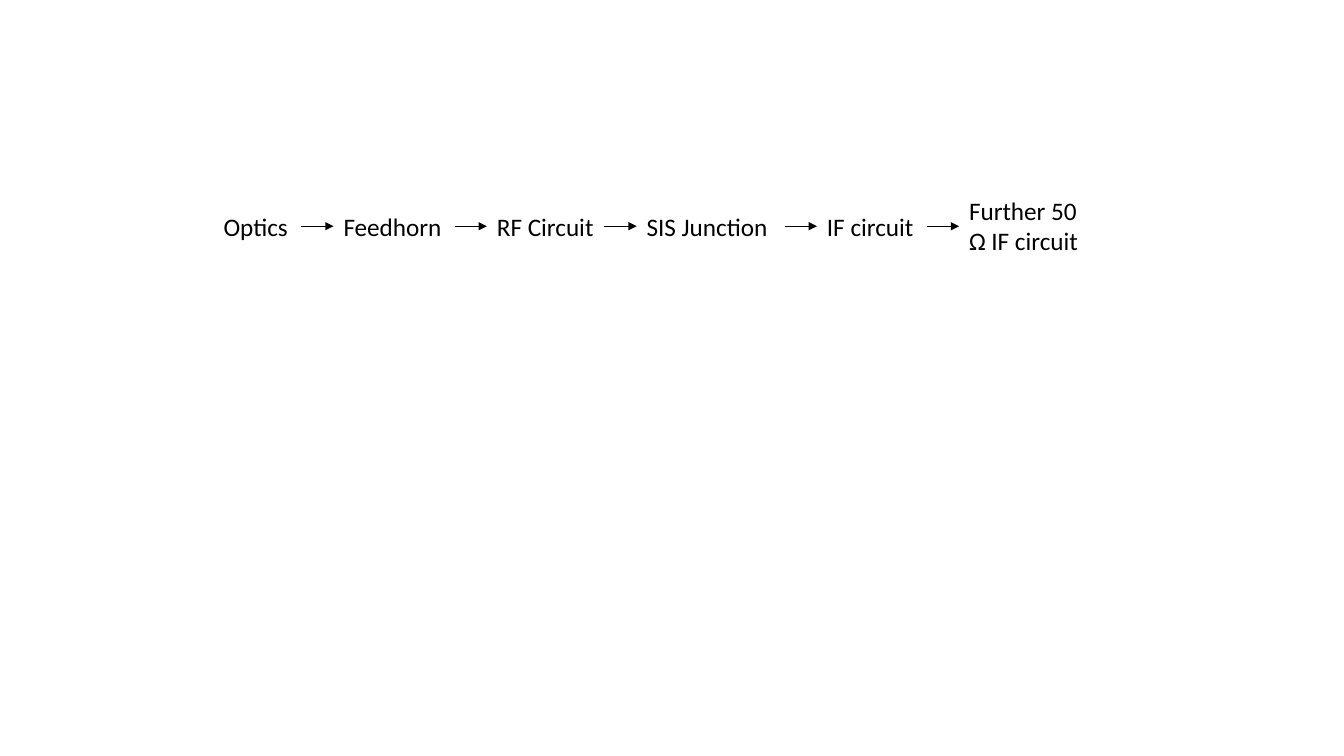
from lxml.etree import SubElement
from pptx import Presentation
from pptx.dml.color import RGBColor
from pptx.enum.shapes import MSO_CONNECTOR
from pptx.enum.text import MSO_AUTO_SIZE
from pptx.oxml.ns import qn
from pptx.util import Pt

# Stage label, box width, box height
STAGES = [
    ("Optics", 62.7, 29),
    ("Feedhorn", 86.5, 29),
    ("RF Circuit", 84, 29),
    ("SIS Junction", 105.8, 29),
    ("IF circuit", 78.5, 29),
    ("Further 50 Ω IF circuit", 96.5, 51),
]
COLORS = {"ink": "000000"}
CHAIN_LEFT, CHAIN_MIDDLE, ARROW_LENGTH = 152.6, 161.6, 23
INK = RGBColor.from_string(COLORS["ink"])
LABEL_FONT = {"name": "Calibri", "size": Pt(18)}
LABEL_FRAME = {"word_wrap": True, "auto_size": MSO_AUTO_SIZE.SHAPE_TO_FIT_TEXT}


def apply_format(target, values):
    for attribute, value in values.items():
        setattr(target, attribute, value)


def add_stage(slide, label, left, width, height):
    stage = slide.shapes.add_textbox(
        Pt(left), Pt(CHAIN_MIDDLE - height / 2), Pt(width), Pt(height))
    apply_format(stage.text_frame, LABEL_FRAME)
    run = stage.text_frame.paragraphs[0].add_run()
    run.text = label
    apply_format(run.font, LABEL_FONT)
    run.font.color.rgb = INK


def add_arrow(slide, start):
    arrow = slide.shapes.add_connector(
        MSO_CONNECTOR.STRAIGHT, Pt(start), Pt(CHAIN_MIDDLE),
        Pt(start + ARROW_LENGTH), Pt(CHAIN_MIDDLE))
    arrow.line.width = Pt(0.5)
    arrow.line.color.rgb = INK
    SubElement(arrow.line._get_or_add_ln(), qn("a:tailEnd"), type="triangle")
    SubElement(arrow._element.spPr, qn("a:effectLst"))


def main():
    presentation = Presentation()
    presentation.slide_width, presentation.slide_height = Pt(960), Pt(540)
    slide = presentation.slides.add_slide(presentation.slide_layouts[6])

    left = CHAIN_LEFT
    for position, (label, width, height) in enumerate(STAGES):
        if position:
            add_arrow(slide, left)
            left += ARROW_LENGTH
        add_stage(slide, label, left, width, height)
        left += width

    presentation.save("out.pptx")


if __name__ == "__main__":
    main()
